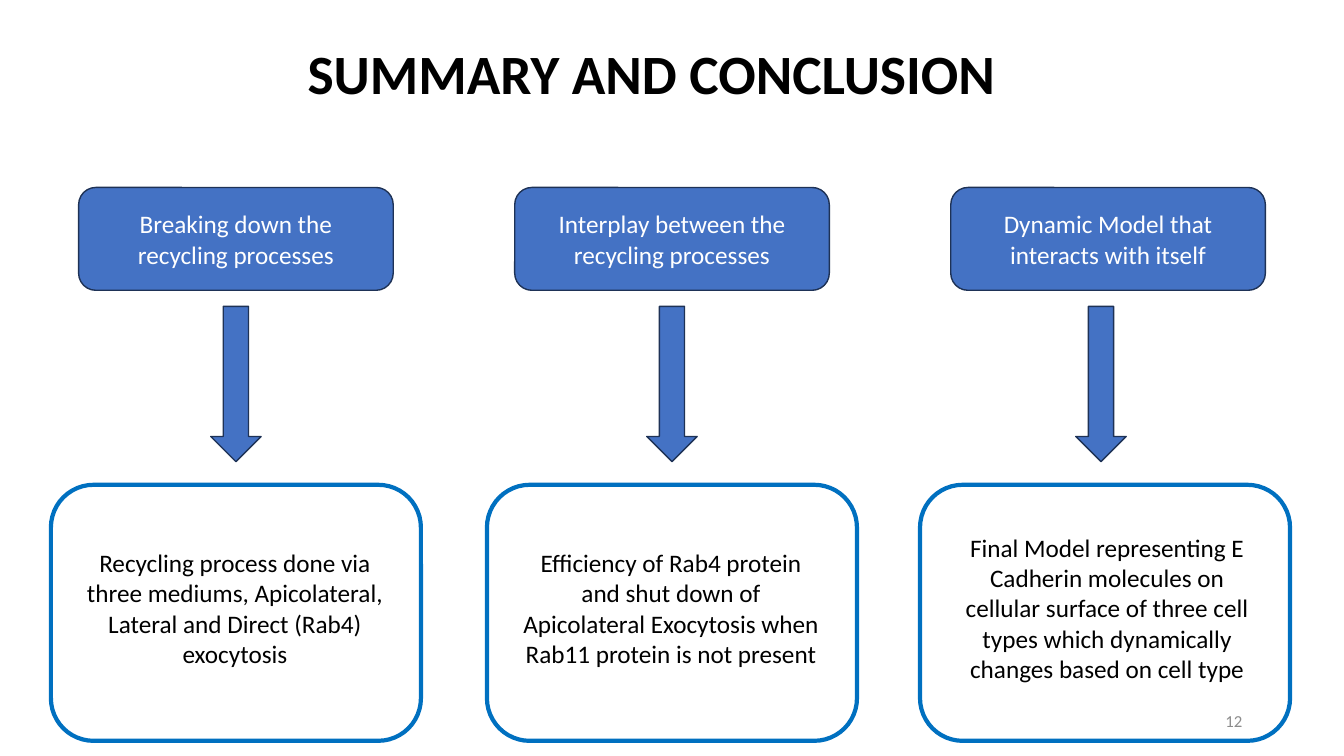
from pptx import Presentation
from pptx.dml.color import RGBColor
from pptx.enum.shapes import MSO_SHAPE as SHAPE
from pptx.enum.text import MSO_ANCHOR as ANCHOR, PP_ALIGN as ALIGN
from pptx.util import Inches, Pt

FONT = "Calibri"
BLUE, NAVY, BORDER = "4472C4", "1E3256", "0070C0"
FIRST_CENTER, PITCH = 2.34, 4.325
TEXT_W = 3.15

# heading, conclusion, arrow shift, card shift
COLUMNS = [
    ("Breaking down the recycling processes",
     "Recycling process done via three mediums, Apicolateral, "
     "Lateral and Direct (Rab4) exocytosis", 0, 0),
    ("Interplay between the recycling processes",
     "Efficiency of Rab4 protein and shut down of Apicolateral Exocytosis "
     "when Rab11 protein is not present", 0, 0),
    ("Dynamic Model that interacts with itself",
     "Final Model representing E Cadherin molecules on cellular surface of "
     "three cell types which dynamically changes based on cell type",
     -0.07, -0.03),
]


def color(value):
    return RGBColor.from_string(value)


def write(sp, text, size, font_color, align=ALIGN.CENTER, bold=False):
    tf = sp.text_frame
    tf.word_wrap = True
    tf.vertical_anchor = ANCHOR.MIDDLE
    p = tf.paragraphs[0]
    p.alignment = align
    r = p.add_run()
    r.text = text
    r.font.name, r.font.size, r.font.bold = FONT, Pt(size), bold
    r.font.color.rgb = color(font_color)
    return p


def add_text(slide, box, *args, **kwargs):
    sp = slide.shapes.add_textbox(*map(Inches, box))
    write(sp, *args, **kwargs)


def add_block(slide, kind, box, fill, line, width):
    sp = slide.shapes.add_shape(kind, *map(Inches, box))
    sp.shadow.inherit = False
    if fill:
        sp.fill.solid()
        sp.fill.fore_color.rgb = color(fill)
    else:
        sp.fill.background()
    sp.line.color.rgb = color(line)
    sp.line.width = Pt(width)
    return sp


def centered(center, top, width, height):
    return center - width / 2, top, width, height


def add_title(slide, box, text):
    title = slide.shapes.title
    title.left, title.top, title.width, title.height = map(Inches, box)
    write(title, text, 39.6, "000000", ALIGN.LEFT, bold=True).line_spacing = 0.9


def add_column(slide, center, heading, conclusion, arrow_shift, card_shift):
    """Heading, arrow and outlined conclusion stacked on one centre line."""
    header = add_block(slide, SHAPE.ROUNDED_RECTANGLE,
                       centered(center, 1.86, 3.12, 1.02), BLUE, NAVY, 1)
    write(header, heading, 18, "FFFFFF")
    add_block(slide, SHAPE.DOWN_ARROW,
              centered(center + arrow_shift, 3.04, 0.5, 1.54), BLUE, NAVY, 1)
    add_block(slide, SHAPE.ROUNDED_RECTANGLE,
              centered(center + card_shift, 4.81, 3.67, 2.54), None, BORDER, 3)
    add_text(slide, centered(center - 0.01, 5.22, TEXT_W, 1.62),
             conclusion, 18, "000000")


def main():
    prs = Presentation()
    prs.slide_width, prs.slide_height = Inches(13.33), Inches(7.5)
    slide = prs.slides.add_slide(prs.slide_layouts[5])
    add_title(slide, (2.95, 0.31, 7.44, 0.9), "SUMMARY AND CONCLUSION")
    add_text(slide, (9.42, 6.95, 3, 0.4), "12", 12, "8C8C8C", ALIGN.RIGHT)
    for i, column in enumerate(COLUMNS):
        add_column(slide, FIRST_CENTER + i * PITCH, *column)
    prs.save("out.pptx")


if __name__ == "__main__":
    main()
